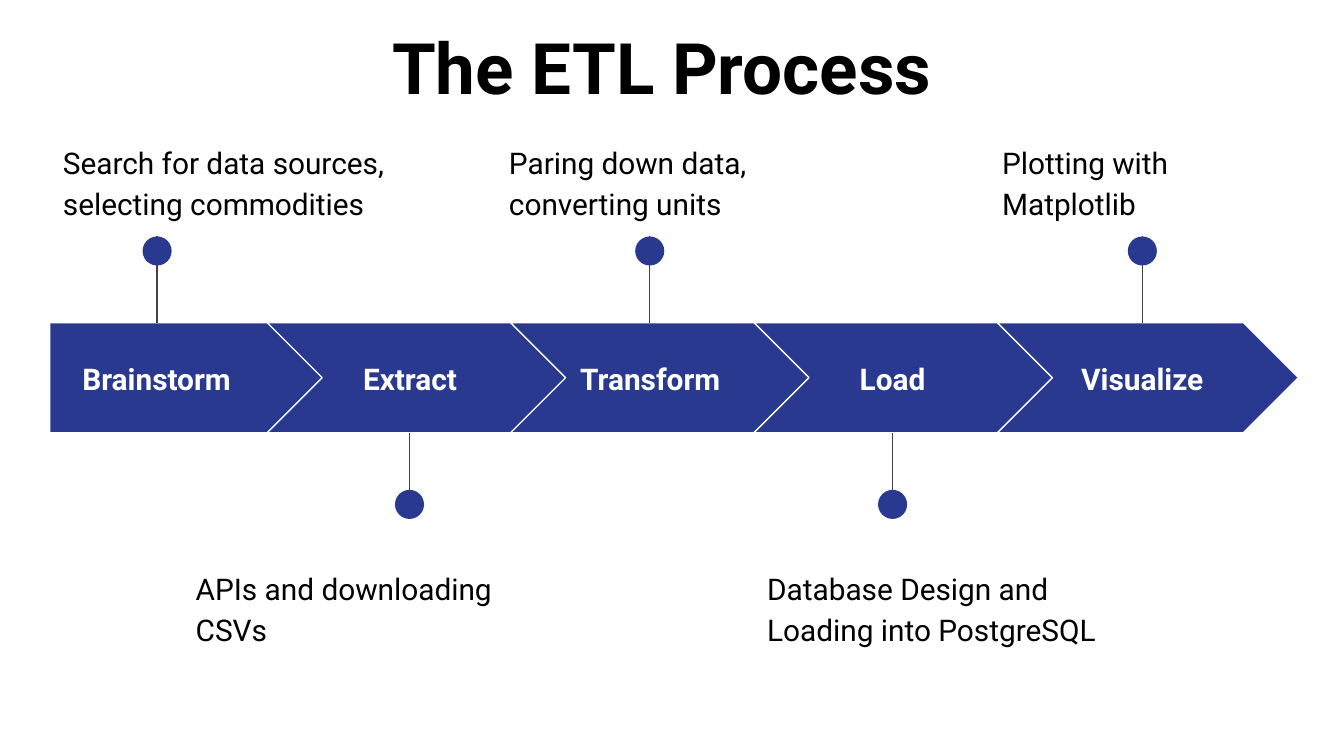
import pptx
import pptx.dml.color
import pptx.enum.shapes
import pptx.enum.text
import pptx.oxml
import pptx.oxml.ns
import pptx.util

Cm = pptx.util.Cm
Pt = pptx.util.Pt
SHAPE = pptx.enum.shapes.MSO_SHAPE
ALIGN = pptx.enum.text.PP_ALIGN
ANCHOR = pptx.enum.text.MSO_ANCHOR

FONT = "Roboto"
COLORS = {"blue": "2A3990", "white": "FFFFFF", "stem": "434343", "black": "000000"}

BAND_TOP, BAND_HEIGHT = 6.1, 2.08
FIRST_LEFT, FIRST_WIDTH = 0.94, 5.21
CHEVRON_LEFT, CHEVRON_WIDTH, PITCH = 5.05, 5.69, 4.6
PIN_LENGTH, DOT = 1.63, 0.55
LABEL_TOP, LABEL_HEIGHT = 6.5, 1.3
NOTE_ABOVE, NOTE_BELOW, NOTE_HEIGHT = 2.39, 10.44, 2.51

# name, label left, label width, pin centre, note, note left, note width
STAGES = [
    ("Brainstorm", 0.94, 4.04, 2.97,
     "Search for data sources, selecting commodities", 0.94, 6.71),
    ("Extract", 5.92, 3.66, 7.74, "APIs and downloading CSVs", 3.45, 6.22),
    ("Transform", 10.46, 3.66, 12.28, "Paring down data, converting units", 9.37, 6.22),
    ("Load", 15.04, 3.66, 16.87,
     "Database Design and Loading into PostgreSQL", 14.25, 7.06),
    ("Visualize", 19.76, 3.66, 21.59, "Plotting with Matplotlib", 18.69, 6.22),
]


def rgb(name):
    return pptx.dml.color.RGBColor.from_string(COLORS[name])


def add_text(slide, box, text, size=16, color="black", bold=False,
             align=ALIGN.LEFT, anchor=ANCHOR.TOP, line_spacing=1.0, space_after=0):
    frame = slide.shapes.add_textbox(*map(Cm, box)).text_frame
    frame.word_wrap = True
    frame.vertical_anchor = anchor
    frame.margin_left = frame.margin_right = Cm(0.25)
    frame.margin_top = frame.margin_bottom = Cm(0.25)
    paragraph = frame.paragraphs[0]
    paragraph.alignment = align
    paragraph.line_spacing = line_spacing
    paragraph.space_after = Pt(space_after)
    run = paragraph.add_run()
    run.text = text
    run.font.name = FONT
    run.font.size = Pt(size)
    run.font.bold = bold
    run.font.color.rgb = rgb(color)


def add_filled(slide, kind, box):
    """Add a blue preset shape without outline or shadow."""
    shape = slide.shapes.add_shape(kind, *map(Cm, box))
    shape.shadow.inherit = False
    shape.fill.solid()
    shape.fill.fore_color.rgb = rgb("blue")
    shape.line.fill.background()
    return shape


def add_arrow(slide, kind, box):
    arrow = add_filled(slide, kind, box)
    arrow.line.color.rgb = rgb("white")
    arrow.line.width = Pt(0.75)


def add_pin(slide, center, band_edge, tip):
    """Draw a stem from the band to the tip, with a dot inside the tip end."""
    stem = slide.shapes.add_connector(
        pptx.enum.shapes.MSO_CONNECTOR.STRAIGHT,
        Cm(center), Cm(tip), Cm(center), Cm(band_edge))
    stem.line.color.rgb = rgb("stem")
    stem.line.width = Pt(0.75)
    stem._element.spPr.append(pptx.oxml.parse_xml(
        f'<a:effectLst {pptx.oxml.ns.nsdecls("a")}/>'))
    dot_top = tip if tip < band_edge else tip - DOT
    add_filled(slide, SHAPE.OVAL, (center - DOT / 2, dot_top, DOT, DOT))


def add_stage(slide, index, stage):
    name, label_left, label_width, center, note, note_left, note_width = stage
    if index == 0:
        add_arrow(slide, SHAPE.PENTAGON,
                  (FIRST_LEFT, BAND_TOP, FIRST_WIDTH, BAND_HEIGHT))
    else:
        left = CHEVRON_LEFT + (index - 1) * PITCH
        add_arrow(slide, SHAPE.CHEVRON, (left, BAND_TOP, CHEVRON_WIDTH, BAND_HEIGHT))
    add_text(slide, (label_left, LABEL_TOP, label_width, LABEL_HEIGHT), name,
             color="white", bold=True, align=ALIGN.CENTER, anchor=ANCHOR.MIDDLE)

    if index % 2 == 0:
        note_top = NOTE_ABOVE
        add_pin(slide, center, BAND_TOP, BAND_TOP - PIN_LENGTH)
    else:
        note_top = NOTE_BELOW
        band_bottom = BAND_TOP + BAND_HEIGHT
        add_pin(slide, center, band_bottom, band_bottom + PIN_LENGTH)
    add_text(slide, (note_left, note_top, note_width, NOTE_HEIGHT), note,
             line_spacing=1.15, space_after=16)


def main():
    deck = pptx.Presentation()
    deck.slide_width, deck.slide_height = Cm(25.4), Cm(14.29)
    slide = deck.slides.add_slide(deck.slide_layouts[6])
    for index, stage in enumerate(STAGES):
        add_stage(slide, index, stage)
    add_text(slide, (4.98, 0.2, 15.06, 2.18), "The ETL Process",
             size=38, bold=True, align=ALIGN.CENTER)
    deck.save("out.pptx")


if __name__ == "__main__":
    main()
